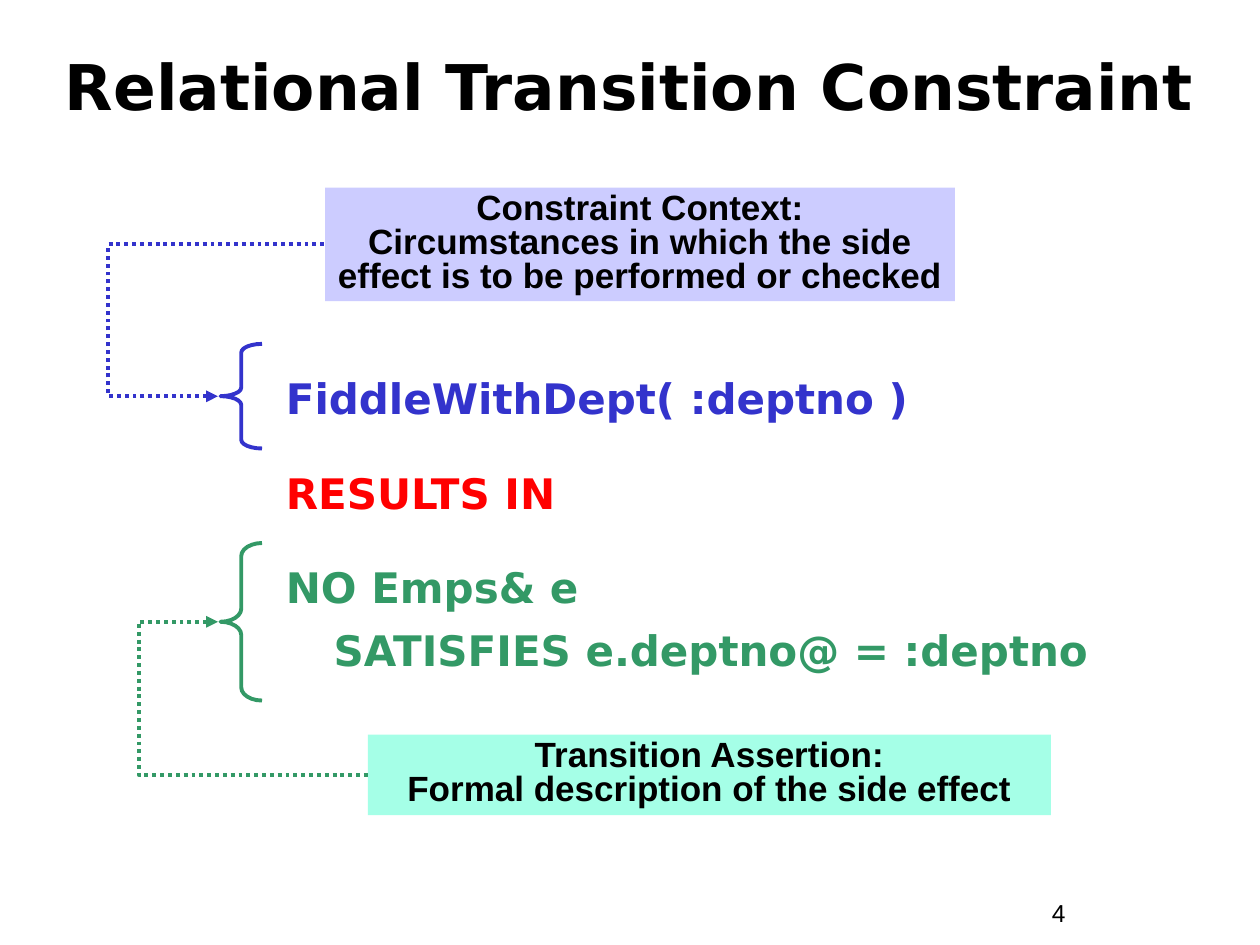
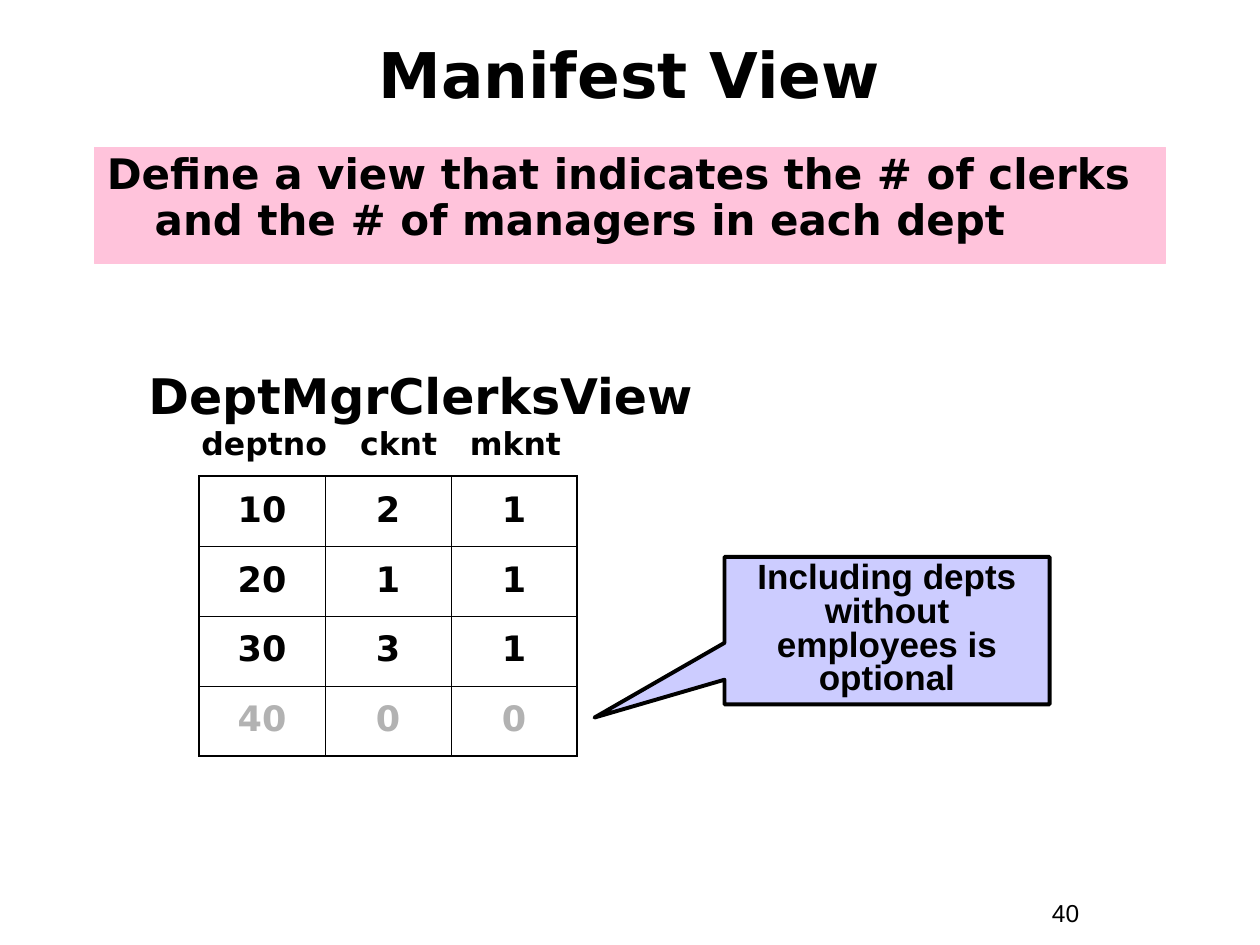
from dataclasses import dataclass
from typing import Optional

from lxml import etree
from pptx import Presentation
from pptx.dml.color import RGBColor
from pptx.enum.dml import MSO_LINE
from pptx.enum.shapes import MSO_CONNECTOR, MSO_SHAPE
from pptx.enum.text import MSO_ANCHOR, PP_ALIGN
from pptx.oxml.ns import qn
from pptx.util import Inches, Pt


@dataclass(frozen=True)
class Theme:
    black: str = "000000"
    blue: str = "3333CC"
    red: str = "FF0000"
    green: str = "339966"
    gray: str = "B2B2B2"
    lavender: str = "CCCCFF"
    mint: str = "A5FFE7"
    pink: str = "FFC3DB"
    heading_font: str = "DejaVu Sans"
    note_font: str = "Arial"
    title_size: float = 36
    view_name_size: float = 28
    body_size: float = 24
    note_size: float = 20
    column_size: float = 18
    number_size: float = 14
    line_width: float = 2.25
    outer_border: float = 1.08
    inner_border: float = 0.45
    hanging: float = 0.38


THEME = Theme()


@dataclass(frozen=True)
class Box:
    left: float
    top: float
    width: float
    height: float

    @property
    def middle(self) -> float:
        return self.top + self.height / 2

    def lengths(self) -> list:
        return [Inches(v) for v in (self.left, self.top, self.width, self.height)]


@dataclass(frozen=True)
class Style:
    size: float
    font: str = THEME.heading_font
    bold: bool = True
    align: PP_ALIGN = PP_ALIGN.LEFT
    anchor: MSO_ANCHOR = MSO_ANCHOR.TOP
    line_spacing: float = 1.0
    space_before: float = 0
    hanging: bool = False


TITLE = Style(THEME.title_size, align=PP_ALIGN.CENTER, anchor=MSO_ANCHOR.MIDDLE)
NUMBER = Style(THEME.number_size, THEME.note_font, bold=False)
NOTE = Style(THEME.note_size, THEME.note_font, align=PP_ALIGN.CENTER, line_spacing=0.8)
RULE = Style(THEME.body_size, line_spacing=1.25, space_before=18, hanging=True)
TASK = Style(THEME.body_size, line_spacing=0.9, hanging=True)
VIEW_NAME = Style(THEME.view_name_size, line_spacing=0.85)
COLUMN_NAMES = Style(THEME.column_size, line_spacing=0.85)
CELL = Style(THEME.note_size, align=PP_ALIGN.CENTER, line_spacing=0.9)


@dataclass(frozen=True)
class Line:
    text: str
    color: str = THEME.black


@dataclass(frozen=True)
class Explanation:
    """A note box tied by a dotted elbow to the brace around a part of the rule."""
    text: str
    note: Box
    brace: Box
    bend_x: float
    fill: str
    color: str


EXPLANATIONS = [
    Explanation("Constraint Context:\vCircumstances in which the side effect is "
                "to be performed or checked",
                Box(2.58, 1.49, 5, 0.9), Box(1.75, 2.73, 0.33, 0.83), 0.86,
                THEME.lavender, THEME.blue),
    Explanation("Transition Assertion:\vFormal description of the side effect",
                Box(2.92, 5.83, 5.42, 0.64), Box(1.75, 4.31, 0.33, 1.25), 1.1,
                THEME.mint, THEME.green),
]

RULE_LINES = [
    Line("FiddleWithDept( :deptno )", THEME.blue),
    Line("RESULTS IN", THEME.red),
    Line("NO Emps& e\vSATISFIES e.deptno@ = :deptno", THEME.green),
]

DEPT_ROWS = [(10, 2, 1), (20, 1, 1), (30, 3, 1), (40, 0, 0)]


def rgb(color: str) -> RGBColor:
    return RGBColor.from_string(color)


def write(frame, lines: list[Line], style: Style) -> None:
    frame.word_wrap = True
    frame.vertical_anchor = style.anchor
    for index, line in enumerate(lines):
        paragraph = frame.add_paragraph() if index else frame.paragraphs[0]
        paragraph.text = line.text
        paragraph.alignment = style.align
        paragraph.line_spacing = style.line_spacing
        if index:
            paragraph.space_before = Pt(style.space_before)
        if style.hanging:
            properties = paragraph._p.get_or_add_pPr()
            properties.set("marL", str(Inches(THEME.hanging)))
            properties.set("indent", str(-Inches(THEME.hanging)))
        for run in paragraph.runs:
            run.font.name = style.font
            run.font.size = Pt(style.size)
            run.font.bold = style.bold
            run.font.color.rgb = rgb(line.color)


def add_text(slide, box: Box, lines: list[Line], style: Style):
    frame = slide.shapes.add_textbox(*box.lengths()).text_frame
    write(frame, lines, style)
    return frame


def add_filled(slide, kind: MSO_SHAPE, box: Box, text: str, style: Style, fill: str,
               line: Optional[str] = None, line_width: float = 0.75):
    shape = slide.shapes.add_shape(kind, *box.lengths())
    shape.shadow.inherit = False
    shape.fill.solid()
    shape.fill.fore_color.rgb = rgb(fill)
    if line:
        shape.line.color.rgb = rgb(line)
        shape.line.width = Pt(line_width)
    else:
        shape.line.fill.background()
    write(shape.text_frame, [Line(text)], style)
    return shape


def add_brace(slide, box: Box, color: str) -> None:
    brace = slide.shapes.add_shape(MSO_SHAPE.LEFT_BRACE, *box.lengths())
    brace.shadow.inherit = False
    brace.fill.background()
    brace.line.color.rgb = rgb(color)
    brace.line.width = Pt(THEME.line_width)
    brace.adjustments[0] = box.height / 12 / box.width


def add_dotted_elbow(slide, item: Explanation) -> None:
    """Run from the brace's tip, out to bend_x, and back to the note's left side."""
    start_x = item.brace.left - 0.02
    elbow = slide.shapes.add_connector(
        MSO_CONNECTOR.ELBOW, Inches(start_x), Inches(item.brace.middle),
        Inches(item.note.left), Inches(item.note.middle))
    elbow.line.color.rgb = rgb(item.color)
    elbow.line.width = Pt(THEME.line_width)
    elbow.line.dash_style = MSO_LINE.ROUND_DOT
    etree.SubElement(elbow.line._get_or_add_ln(), qn("a:headEnd"), type="triangle")
    properties = elbow._element.spPr
    etree.SubElement(properties, qn("a:effectLst"))
    bend = round((item.bend_x - start_x) / (item.note.left - start_x) * 100000)
    guides = properties.find(qn("a:prstGeom")).get_or_add_avLst()
    etree.SubElement(guides, qn("a:gd"), name="adj1", fmla=f"val {bend}")


def add_explanation(slide, item: Explanation) -> None:
    add_brace(slide, item.brace, item.color)
    add_filled(slide, MSO_SHAPE.RECTANGLE, item.note, item.text, NOTE, item.fill)
    add_dotted_elbow(slide, item)


def set_borders(cell, outer_sides: dict[str, bool]) -> None:
    properties = cell._tc.get_or_add_tcPr()
    for side, is_outer in outer_sides.items():
        width = THEME.outer_border if is_outer else THEME.inner_border
        border = etree.SubElement(properties, qn(f"a:ln{side}"), w=str(Pt(width)))
        fill = etree.SubElement(border, qn("a:solidFill"))
        etree.SubElement(fill, qn("a:srgbClr"), val=THEME.black)


def add_dept_table(slide, box: Box) -> None:
    last_row, last_column = len(DEPT_ROWS) - 1, len(DEPT_ROWS[0]) - 1
    table = slide.shapes.add_table(last_row + 1, last_column + 1, *box.lengths()).table
    table.first_row = table.horz_banding = False
    for r, values in enumerate(DEPT_ROWS):
        color = THEME.gray if r == last_row else THEME.black
        for c, value in enumerate(values):
            cell = table.cell(r, c)
            write(cell.text_frame, [Line(str(value), color)], CELL)
            cell.vertical_anchor = MSO_ANCHOR.MIDDLE
            set_borders(cell, {"L": c == 0, "R": c == last_column,
                               "T": r == 0, "B": r == last_row})
            cell.fill.background()


def add_column_names(slide, box: Box) -> None:
    frame = add_text(slide, box, [Line("deptno\tcknt\tmknt")], COLUMN_NAMES)
    properties = frame.paragraphs[0]._p.get_or_add_pPr()
    stops = etree.SubElement(properties, qn("a:tabLst"))
    for position in (1.26, 2.13):
        etree.SubElement(stops, qn("a:tab"), pos=str(Inches(position)), algn="l")


def add_page(deck, title: str, title_box: Box, number: int):
    slide = deck.slides.add_slide(deck.slide_layouts[6])
    add_text(slide, Box(8.25, 7.08, 0.92, 0.34), [Line(str(number))], NUMBER)
    add_text(slide, title_box, [Line(title)], TITLE)
    return slide


def build_transition_constraint(deck) -> None:
    slide = add_page(deck, "Relational Transition Constraint",
                     Box(0.33, 0.22, 9.33, 0.92), 4)
    add_text(slide, Box(2.17, 2.81, 7.25, 2.92), RULE_LINES, RULE)
    for item in EXPLANATIONS:
        add_explanation(slide, item)


def build_manifest_view(deck) -> None:
    slide = add_page(deck, "Manifest View", Box(0.33, 0.17, 9.33, 0.83), 40)
    add_filled(slide, MSO_SHAPE.RECTANGLE, Box(0.75, 1.17, 8.5, 0.92),
               "Define a view that indicates the # of clerks "
               "and the # of managers in each dept", TASK, THEME.pink, THEME.pink)
    add_dept_table(slide, Box(1.58, 3.78, 3, 2.22))
    add_column_names(slide, Box(1.5, 3.36, 3.25, 0.36))
    add_text(slide, Box(1.08, 2.92, 4.58, 0.5), [Line("DeptMgrClerksView")], VIEW_NAME)
    callout = add_filled(slide, MSO_SHAPE.RECTANGULAR_CALLOUT, Box(5.75, 4.42, 2.58, 1.17),
                         "Including depts without employees is optional", NOTE,
                         THEME.lavender, THEME.black, THEME.line_width)
    callout.adjustments[0] = -0.9
    callout.adjustments[1] = 0.59


def main() -> None:
    deck = Presentation()
    deck.slide_width, deck.slide_height = Inches(10), Inches(7.5)
    build_transition_constraint(deck)
    build_manifest_view(deck)
    deck.save("out.pptx")


if __name__ == "__main__":
    main()
